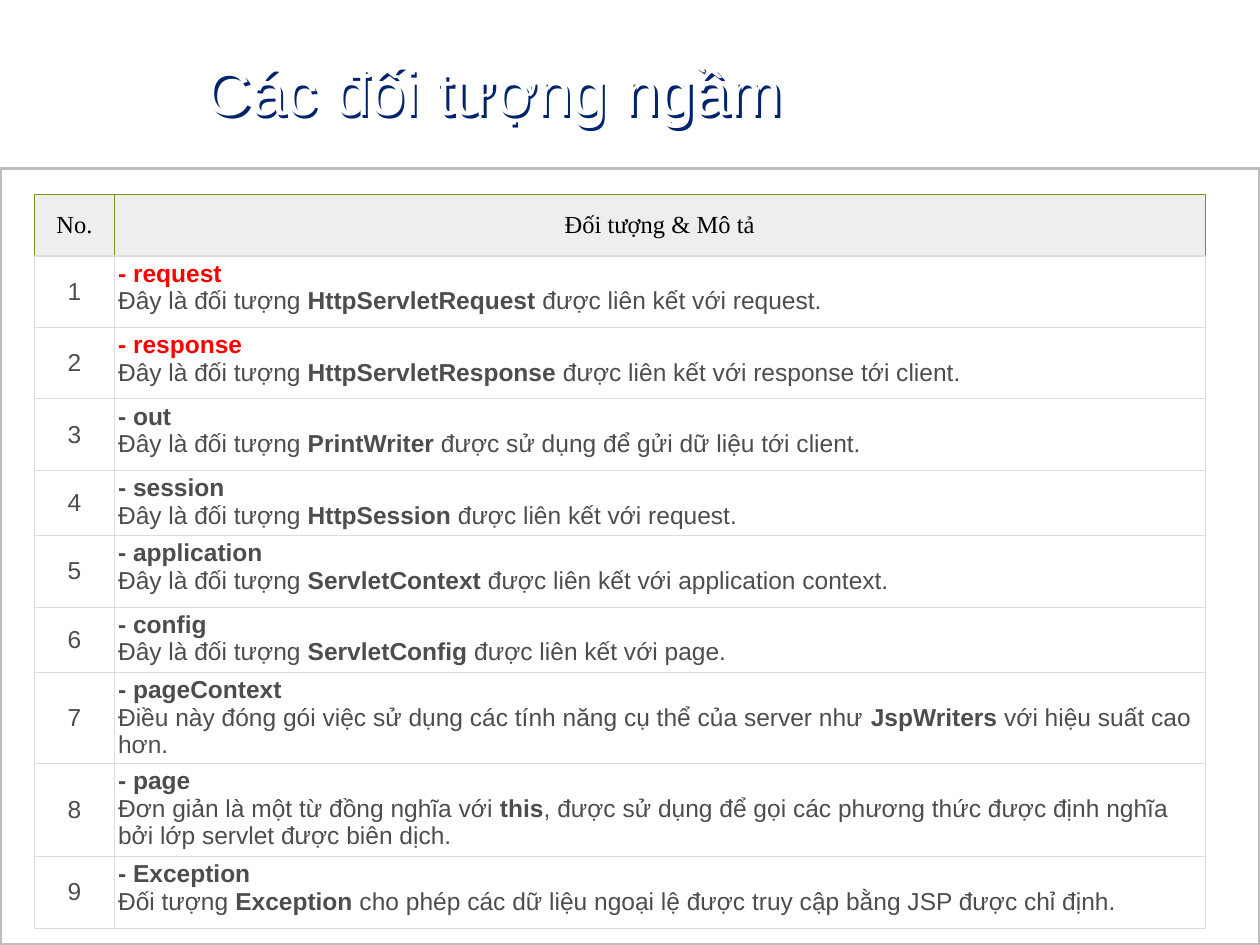
"""Build the slide that lists the JSP implicit objects in a table."""
from dataclasses import dataclass

from lxml import etree
from pptx import Presentation
from pptx import util as u
from pptx.dml.color import RGBColor
from pptx.enum import shapes, text
from pptx.oxml import ns

WHITE = RGBColor(0xFF, 0xFF, 0xFF)
BLACK = RGBColor(0x00, 0x00, 0x00)
NAVY = RGBColor(0x00, 0x24, 0x6B)
RED = RGBColor(0xFF, 0x00, 0x00)
TEXT_GRAY = RGBColor(0x4D, 0x4D, 0x4D)
FRAME_GRAY = RGBColor(0xBD, 0xBD, 0xBD)
HEADER_GRAY = RGBColor(0xEE, 0xEE, 0xEE)
BORDER_GRAY = RGBColor(0xDD, 0xDD, 0xDD)
OLIVE = RGBColor(0x80, 0x90, 0x15)

COLUMN_WIDTHS = (1.6, 22.0)
HEADER_HEIGHT = 1.24
BODY = {"name": "Arial", "size": u.Pt(14), "color": TEXT_GRAY, "bold": False}
HEADER = {"name": "Times New Roman", "size": u.Pt(14), "color": BLACK, "bold": False}
TITLE = {"name": "Arial", "size": u.Pt(36), "color": WHITE, "bold": False}


@dataclass(frozen=True)
class ImplicitObject:
    """One table row: object name, description around a bold term, height in cm."""
    name: str
    before: str
    term: str
    after: str
    height: float = 1.44
    color: RGBColor = TEXT_GRAY


IS_OBJECT = "Đây là đối tượng "
OBJECTS = (
    ImplicitObject("request", IS_OBJECT, "HttpServletRequest",
                   " được liên kết với request.", color=RED),
    ImplicitObject("response", IS_OBJECT, "HttpServletResponse",
                   " được liên kết với response tới client.", color=RED),
    ImplicitObject("out", IS_OBJECT, "PrintWriter",
                   " được sử dụng để gửi dữ liệu tới client."),
    ImplicitObject("session", IS_OBJECT, "HttpSession",
                   " được liên kết với request.", 1.32),
    ImplicitObject("application", IS_OBJECT, "ServletContext",
                   " được liên kết với application context."),
    ImplicitObject("config", IS_OBJECT, "ServletConfig",
                   " được liên kết với page.", 1.32),
    ImplicitObject("pageContext",
                   "Điều này đóng gói việc sử dụng các tính năng cụ thể của server như ",
                   "JspWriters", " với hiệu suất cao hơn.", 1.83),
    ImplicitObject("page", "Đơn giản là một từ đồng nghĩa với ", "this",
                   ", được sử dụng để gọi các phương thức được định nghĩa "
                   "bởi lớp servlet được biên dịch.", 1.88),
    ImplicitObject("Exception", "Đối tượng ", "Exception",
                   " cho phép các dữ liệu ngoại lệ được truy cập bằng JSP được chỉ định."),
)


def add_run(paragraph, words: str, values: dict) -> None:
    """Append a run and apply its font values."""
    run = paragraph.add_run()
    run.text = words
    for name, value in values.items():
        if name == "color":
            run.font.color.rgb = value
        else:
            setattr(run.font, name, value)


def add_border(cell, side: str, color: RGBColor) -> None:
    """Draw one side of a cell; side is L, R, T or B."""
    properties = cell._tc.get_or_add_tcPr()
    line = etree.SubElement(properties, ns.qn(f"a:ln{side}"), w=str(u.Pt(0.75)))
    fill = etree.SubElement(line, ns.qn("a:solidFill"))
    etree.SubElement(fill, ns.qn("a:srgbClr"), val=str(color))


def format_cell(cell, fill: RGBColor, border: RGBColor, anchor) -> None:
    """Set margins, anchor, borders and fill of a cell."""
    margin = u.Cm(0.08)
    values = {f"margin_{side}": margin for side in ("left", "right", "top", "bottom")}
    for name, value in {**values, "vertical_anchor": anchor}.items():
        setattr(cell, name, value)
    for side in "LRT":
        add_border(cell, side, border)
    add_border(cell, "B", BORDER_GRAY)
    cell.fill.solid()
    cell.fill.fore_color.rgb = fill


def fill_centered(cell, words: str, values: dict, fill: RGBColor, border: RGBColor) -> None:
    """Write one centred line in a cell."""
    format_cell(cell, fill, border, text.MSO_ANCHOR.MIDDLE)
    paragraph = cell.text_frame.paragraphs[0]
    paragraph.alignment = text.PP_ALIGN.CENTER
    add_run(paragraph, words, values)


def fill_description(cell, item: ImplicitObject) -> None:
    """Write the name of an object and its description."""
    format_cell(cell, WHITE, BORDER_GRAY, text.MSO_ANCHOR.TOP)
    frame = cell.text_frame
    add_run(frame.paragraphs[0], f"- {item.name}",
            {**BODY, "bold": True, "color": item.color})
    paragraph = frame.add_paragraph()
    for words, bold in ((item.before, False), (item.term, True), (item.after, False)):
        add_run(paragraph, words, {**BODY, "bold": bold})


def add_frame(slide) -> None:
    """Draw the outlined area below the title."""
    shape = slide.shapes.add_shape(shapes.MSO_SHAPE.RECTANGLE,
                                   u.Cm(0), u.Cm(3.4), u.Cm(25.4), u.Cm(15.65))
    shape.shadow.inherit = False
    shape.fill.solid()
    shape.fill.fore_color.rgb = WHITE
    shape.line.color.rgb = FRAME_GRAY
    shape.line.width = u.Pt(2)


def format_title(shape, words: str) -> None:
    """Place the title and give it white letters with a navy shadow."""
    box = {"left": 3.89, "top": 1.12, "width": 21.0, "height": 1.42}
    for name, value in box.items():
        setattr(shape, name, u.Cm(value))
    frame = shape.text_frame
    frame_values = {"word_wrap": True, "auto_size": text.MSO_AUTO_SIZE.NONE,
                    "vertical_anchor": text.MSO_ANCHOR.MIDDLE}
    for name, value in frame_values.items():
        setattr(frame, name, value)
    paragraph = frame.paragraphs[0]
    paragraph.alignment = text.PP_ALIGN.LEFT
    add_run(paragraph, words, TITLE)
    effects = etree.SubElement(shape._element.spPr, ns.qn("a:effectLst"))
    shadow = etree.SubElement(effects, ns.qn("a:outerShdw"), dist=str(u.Pt(2)),
                              dir="2700000", algn="ctr", rotWithShape="0")
    etree.SubElement(shadow, ns.qn("a:srgbClr"), val=str(NAVY))


def add_object_table(slide) -> None:
    """Add the table of implicit objects."""
    heights = [HEADER_HEIGHT, *(item.height for item in OBJECTS)]
    table = slide.shapes.add_table(len(heights), len(COLUMN_WIDTHS), u.Cm(0.7), u.Cm(3.92),
                                   u.Cm(sum(COLUMN_WIDTHS)), u.Cm(sum(heights))).table
    for column, width in zip(table.columns, COLUMN_WIDTHS):
        column.width = u.Cm(width)
    for row, height in zip(table.rows, heights):
        row.height = u.Cm(height)
    for index, words in enumerate(("No.", "Đối tượng & Mô tả")):
        fill_centered(table.cell(0, index), words, HEADER, HEADER_GRAY, OLIVE)
    for number, item in enumerate(OBJECTS, start=1):
        fill_centered(table.cell(number, 0), str(number), BODY, WHITE, BORDER_GRAY)
        fill_description(table.cell(number, 1), item)


def main() -> None:
    """Build and save the presentation."""
    presentation = Presentation()
    presentation.slide_width = u.Cm(25.4)
    presentation.slide_height = u.Cm(19.05)
    slide = presentation.slides.add_slide(presentation.slide_layouts[5])
    add_frame(slide)
    format_title(slide.shapes.title, "Các đối tượng ngầm")
    add_object_table(slide)
    presentation.save("out.pptx")


if __name__ == "__main__":
    main()
